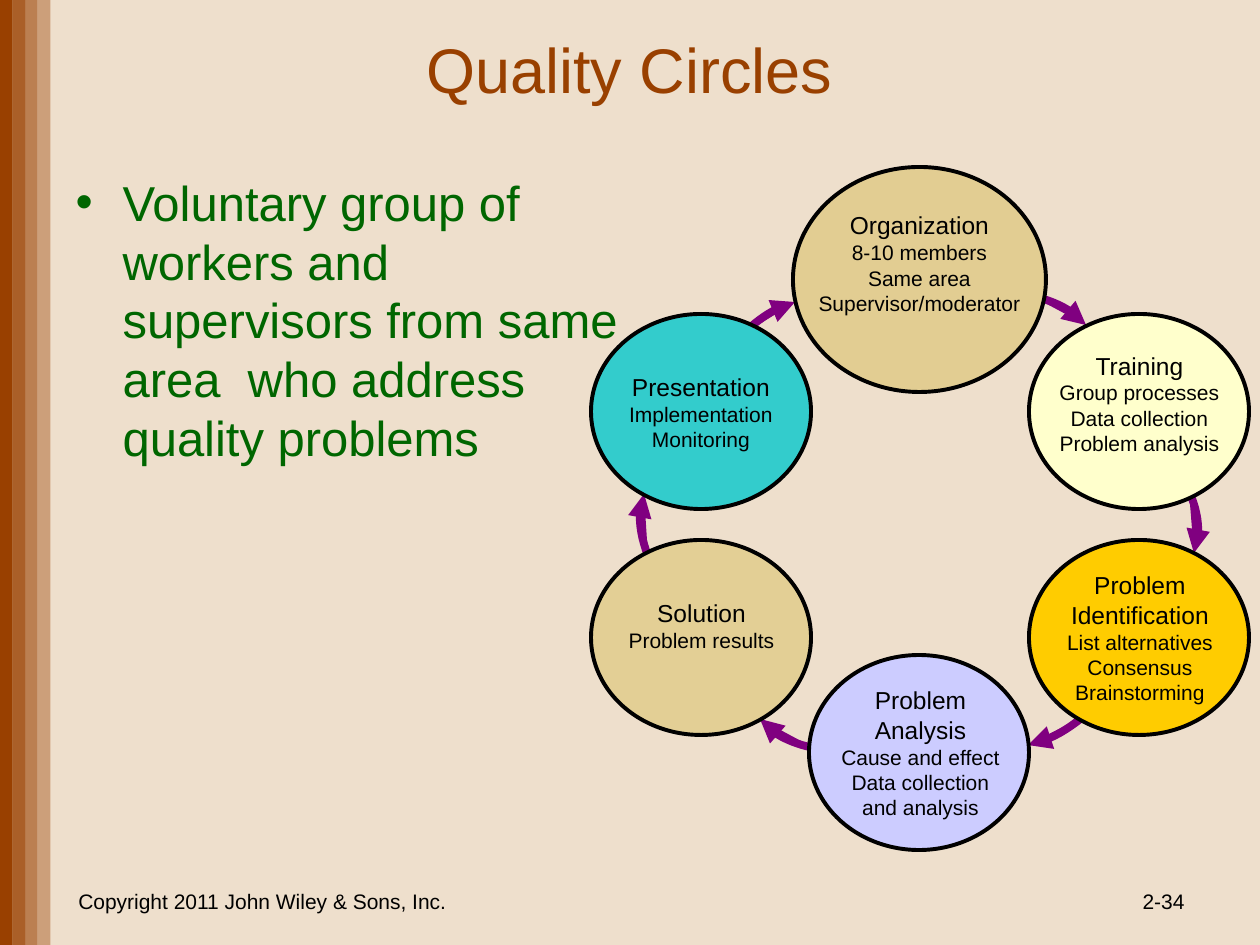
"""Build the Quality Circles slide: a definition beside a six-stage cycle."""
import pptx
import pptx.dml.color
import pptx.enum.shapes
import pptx.enum.text
import pptx.oxml
import pptx.oxml.ns
import pptx.util

PX = 914400 / 126
FONT = "Arial"
COLORS = {
    "background": "EEDFCC", "rust": "994000", "green": "006600",
    "black": "000000", "purple": "800080", "teal": "33CCCC",
    "tan": "E3CF95", "sand": "E2CD92", "lilac": "CCCCFF",
    "gold": "FFCC00", "cream": "FFFFCC",
}
TITLE = "Quality Circles"
DEFINITION = "Voluntary group of workers and supervisors from same area  who address quality problems"
COPYRIGHT = "Copyright 2011 John Wiley & Sons, Inc."
PAGE = "2-34"
STRIPE_ALPHAS = [100, 80, 60, 40]
STRIPE_WIDTH = 12.6

# (heading, details, colour, ellipse box, text box)
STAGES = [
    ("Presentation", ["Implementation", "Monitoring"], "teal",
     (591, 314, 220, 195), (606, 365, 190, 93)),
    ("Solution", ["Problem results"], "tan",
     (591, 540, 220, 195), (605, 591, 193, 68)),
    ("Problem Analysis", ["Cause and effect", "Data collection and analysis"], "lilac",
     (809, 655, 220, 195), (822, 678, 197, 149)),
    ("Problem Identification", ["List alternatives", "Consensus", "Brainstorming"], "gold",
     (1029, 540, 220, 195), (1046, 563, 188, 149)),
    ("Training", ["Group processes", "Data collection", "Problem analysis"], "cream",
     (1029, 314, 220, 195), (1040, 344, 199, 118)),
    ("Organization", ["8-10 members", "Same area", "Supervisor/moderator"], "sand",
     (793, 167, 253, 225), (795, 204, 249, 118)),
]
ARROWS = [
    ((742, 335), (768, 314), (795, 302)),
    ((814, 748), (782, 737), (760, 719)),
    ((648, 556), (640, 522), (644, 494)),
    ((1189, 491), (1198, 524), (1194, 553)),
    ((1032, 296), (1063, 307), (1086, 325)),
    ((1084, 716), (1056, 735), (1028, 745)),
]
CURVE_STEPS = 12
ALIGN = pptx.enum.text.PP_ALIGN
ANCHOR = pptx.enum.text.MSO_ANCHOR


def emu(*lengths):
    return [pptx.util.Emu(round(n * PX)) for n in lengths]


def rgb(name):
    return pptx.dml.color.RGBColor.from_string(COLORS[name])


def xml(tag, attrs=""):
    return pptx.oxml.parse_xml(f"<a:{tag} {pptx.oxml.ns.nsdecls('a')} {attrs}/>")


def paint(sp, fill, line=None, width=0):
    sp.shadow.inherit = False
    sp.fill.solid()
    sp.fill.fore_color.rgb = rgb(fill)
    if line:
        sp.line.color.rgb = rgb(line)
        sp.line.width = pptx.util.Pt(width)
    else:
        sp.line.fill.background()


def write(tf, lines, color, align, anchor=ANCHOR.MIDDLE):
    tf.word_wrap = True
    tf.auto_size = pptx.enum.text.MSO_AUTO_SIZE.NONE
    tf.vertical_anchor = anchor
    for i, (text, size) in enumerate(lines):
        p = tf.add_paragraph() if i else tf.paragraphs[0]
        p.text = text
        p.alignment = align
        p.space_before = pptx.util.Pt(0)
        p.font.name = FONT
        p.font.size = pptx.util.Pt(size)
        p.font.color.rgb = rgb(color)


def add_text(slide, box, lines, align):
    write(slide.shapes.add_textbox(*emu(*box)).text_frame, lines, "black", align)


def fill_placeholder(sp, box, *args):
    sp.left, sp.top, sp.width, sp.height = emu(*box)
    write(sp.text_frame, *args)


def add_stripes(slide):
    for i, alpha in enumerate(STRIPE_ALPHAS):
        sp = slide.shapes.add_shape(pptx.enum.shapes.MSO_SHAPE.RECTANGLE,
                                    *emu(i * STRIPE_WIDTH, 0, STRIPE_WIDTH, 945))
        paint(sp, "rust")
        if alpha < 100:
            color = sp.fill._xPr.find(".//" + pptx.oxml.ns.qn("a:srgbClr"))
            color.append(xml("alpha", f'val="{alpha * 1000}"'))


def curve(start, mid, end):
    bend = [2 * m - (s + e) / 2 for s, m, e in zip(start, mid, end)]
    for i in range(CURVE_STEPS + 1):
        t = i / CURVE_STEPS
        yield tuple((1 - t) ** 2 * s + 2 * t * (1 - t) * b + t ** 2 * e
                    for s, b, e in zip(start, bend, end))


def add_arrow(slide, *ends):
    points = [emu(*point) for point in curve(*ends)]
    builder = slide.shapes.build_freeform(*points[0])
    builder.add_line_segments(points[1:], close=False)
    sp = builder.convert_to_shape()
    paint(sp, "purple", "purple", 4.5)
    sp.line._get_or_add_ln().append(xml("tailEnd", 'type="triangle"'))


def add_stage(slide, heading, details, color, oval, box):
    sp = slide.shapes.add_shape(pptx.enum.shapes.MSO_SHAPE.OVAL, *emu(*oval))
    paint(sp, color, "black", 2.25)
    add_text(slide, box, [(heading, 14)] + [(d, 12) for d in details], ALIGN.CENTER)


def main():
    prs = pptx.Presentation()
    prs.slide_width, prs.slide_height = emu(1260, 945)
    slide = prs.slides.add_slide(prs.slide_layouts[1])
    slide.background.fill.solid()
    slide.background.fill.fore_color.rgb = rgb("background")

    add_stripes(slide)
    fill_placeholder(slide.shapes.title, (47, 19, 1165, 98),
                     [(TITLE, 36)], "rust", ALIGN.CENTER)
    body = slide.placeholders[1]
    fill_placeholder(body, (63, 166, 588, 494),
                     [(DEFINITION, 28)], "green", ALIGN.LEFT, ANCHOR.TOP)
    indent = emu(47)[0]
    pPr = body.text_frame.paragraphs[0]._p.get_or_add_pPr()
    pPr.set("marL", str(indent))
    pPr.set("indent", str(-indent))

    add_text(slide, (63, 876, 399, 50), [(COPYRIGHT, 12)], ALIGN.CENTER)
    add_text(slide, (903, 876, 294, 50), [(PAGE, 12)], ALIGN.RIGHT)
    for arrow in ARROWS:
        add_arrow(slide, *arrow)
    for stage in STAGES:
        add_stage(slide, *stage)
    prs.save("out.pptx")


if __name__ == "__main__":
    main()
